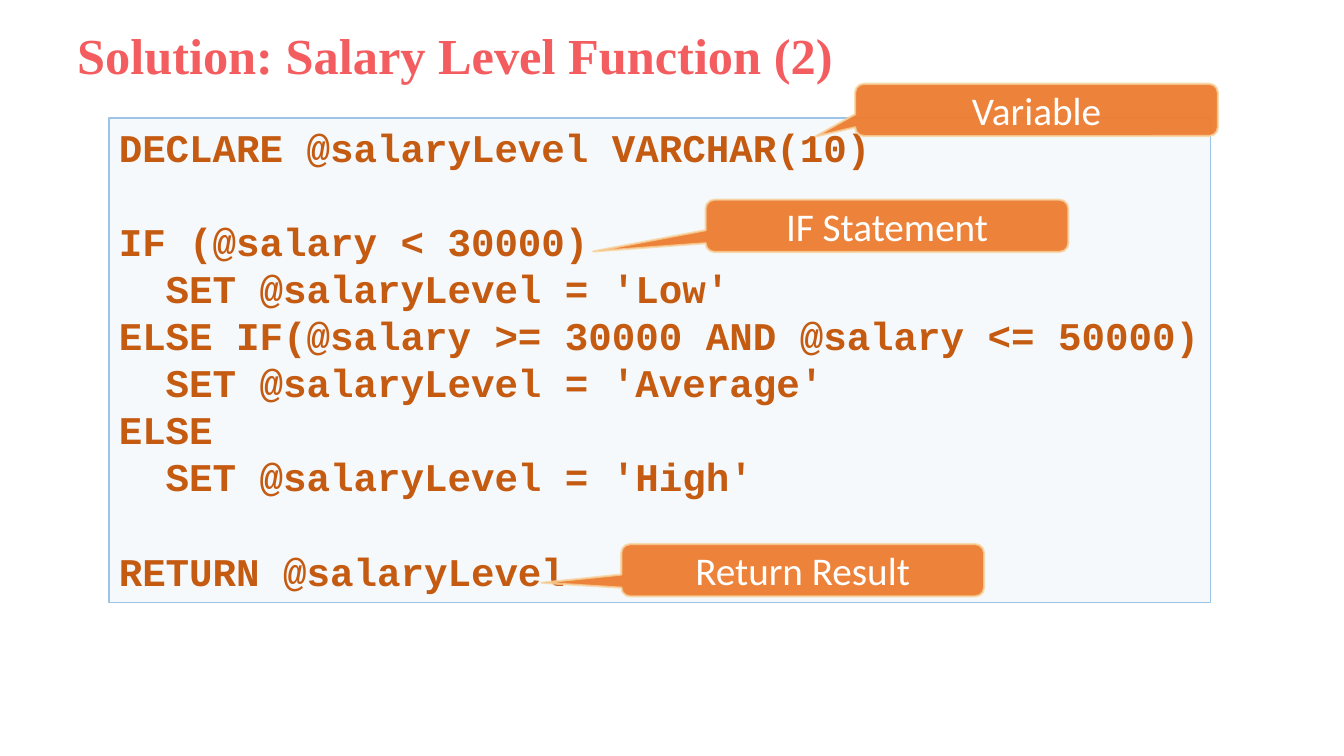
"""Build the slide that shows the body of the salary level function."""
from lxml.etree import SubElement
from pptx import Presentation
from pptx.dml.color import RGBColor
from pptx.enum.shapes import MSO_SHAPE as Shape
from pptx.enum.text import MSO_ANCHOR as Anchor, PP_ALIGN as Align
from pptx.oxml.ns import qn
from pptx.util import Pt

TITLE = "Solution: Salary Level Function (2)"
CODE_SECTIONS = [
    ["DECLARE @salaryLevel VARCHAR(10)"],
    [
        "IF (@salary < 30000)",
        "  SET @salaryLevel = 'Low'",
        "ELSE IF(@salary >= 30000 AND @salary <= 50000)",
        "  SET @salaryLevel = 'Average'",
        "ELSE",
        "  SET @salaryLevel = 'High'",
    ],
    ["RETURN @salaryLevel"],
]
CALLOUTS = [
    ("Variable", 610.8, 59.8, (-0.61, 0.51, 0.17)),
    ("IF Statement", 504, 142.6, (-0.81, 0.49, 0.17)),
    ("Return Result", 443.8, 388.6, (-0.72, 0.24, 0.17)),
]

CORAL = RGBColor(0xF4, 0x5D, 0x60)
RUST = RGBColor(0xC5, 0x5A, 0x11)
ORANGE = RGBColor(0xED, 0x7D, 0x31)
SAND = RGBColor(0xF8, 0xD4, 0x9E)
PALE_BLUE = RGBColor(0xBD, 0xD7, 0xEE)
SKY_BLUE = RGBColor(0x9D, 0xC3, 0xE6)
WHITE = RGBColor(0xFF, 0xFF, 0xFF)

CODE_LINE_HEIGHT = 33.9
CALLOUT_WIDTH, CALLOUT_HEIGHT = 259.2, 37.4


def set_opacity(fill, percent):
    color = fill._xPr.find(qn("a:solidFill"))[0]
    SubElement(color, qn("a:alpha")).set("val", str(percent * 1000))


def paint(shape, fill_color, fill_opacity, line_color, line_width, line_opacity=100):
    shape.shadow.inherit = False
    shape.fill.solid()
    shape.fill.fore_color.rgb = fill_color
    set_opacity(shape.fill, fill_opacity)
    shape.line.color.rgb = line_color
    shape.line.width = Pt(line_width)
    if line_opacity < 100:
        set_opacity(shape.line.fill, line_opacity)


def style(paragraph, font_name, size, color, bold=False, align=Align.LEFT):
    paragraph.alignment = align
    for run in paragraph.runs:
        run.font.name = font_name
        run.font.size = Pt(size)
        run.font.color.rgb = color
        run.font.bold = bold


def add_title(shapes):
    frame = shapes.add_textbox(Pt(48), Pt(18), Pt(828), Pt(46.8)).text_frame
    frame.word_wrap = True
    frame.vertical_anchor = Anchor.MIDDLE
    frame.text = TITLE
    frame.paragraphs[0].line_spacing = 0.9
    style(frame.paragraphs[0], "Times New Roman", 36, CORAL, bold=True)


def add_code(shapes):
    panel = shapes.add_shape(Shape.RECTANGLE, Pt(77.8), Pt(84.2), Pt(787), Pt(346.3))
    paint(panel, PALE_BLUE, 15, SKY_BLUE, 1)
    frame = panel.text_frame
    frame.word_wrap = True
    frame.vertical_anchor = Anchor.TOP
    frame.margin_right = 0
    frame.text = "\n".join(line for section in CODE_SECTIONS for line in section)
    section_starts = [section[0] for section in CODE_SECTIONS[1:]]
    for paragraph in frame.paragraphs:
        if paragraph.text in section_starts:
            paragraph.space_before = Pt(CODE_LINE_HEIGHT)
        style(paragraph, "Courier New", 28, RUST, bold=True)


def add_callout(shapes, label, left, top, pointer):
    callout = shapes.add_shape(
        Shape.ROUNDED_RECTANGULAR_CALLOUT,
        Pt(left), Pt(top), Pt(CALLOUT_WIDTH), Pt(CALLOUT_HEIGHT),
    )
    for index, value in enumerate(pointer):
        callout.adjustments[index] = value
    paint(callout, ORANGE, 95, SAND, 1.5, 80)
    frame = callout.text_frame
    frame.word_wrap = True
    frame.vertical_anchor = Anchor.MIDDLE
    frame.text = label
    style(frame.paragraphs[0], "Calibri", 28, WHITE, align=Align.CENTER)


def main():
    deck = Presentation()
    deck.slide_width, deck.slide_height = Pt(960), Pt(540)
    shapes = deck.slides.add_slide(deck.slide_layouts[6]).shapes
    add_title(shapes)
    add_code(shapes)
    for callout in CALLOUTS:
        add_callout(shapes, *callout)
    deck.save("out.pptx")


if __name__ == "__main__":
    main()
